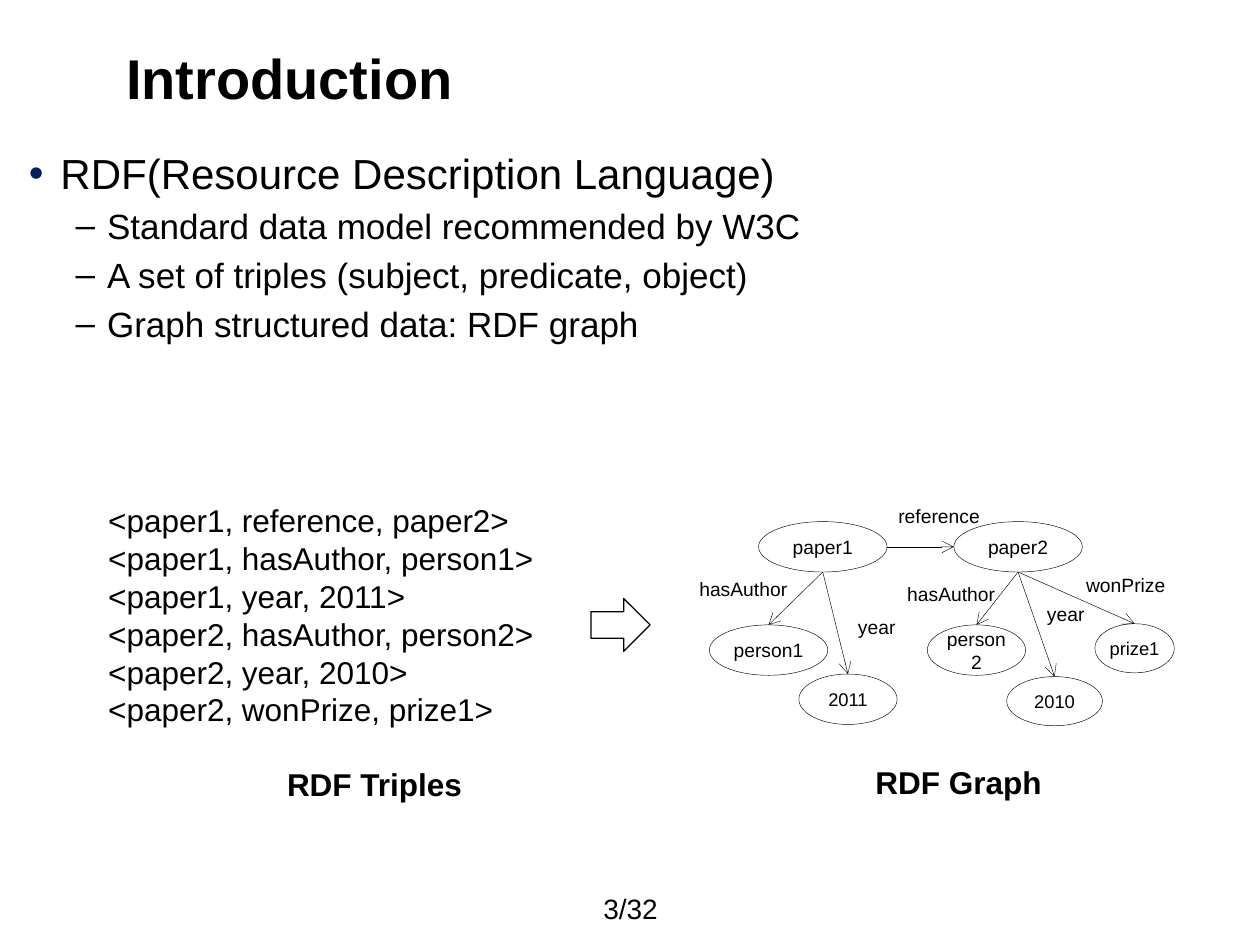
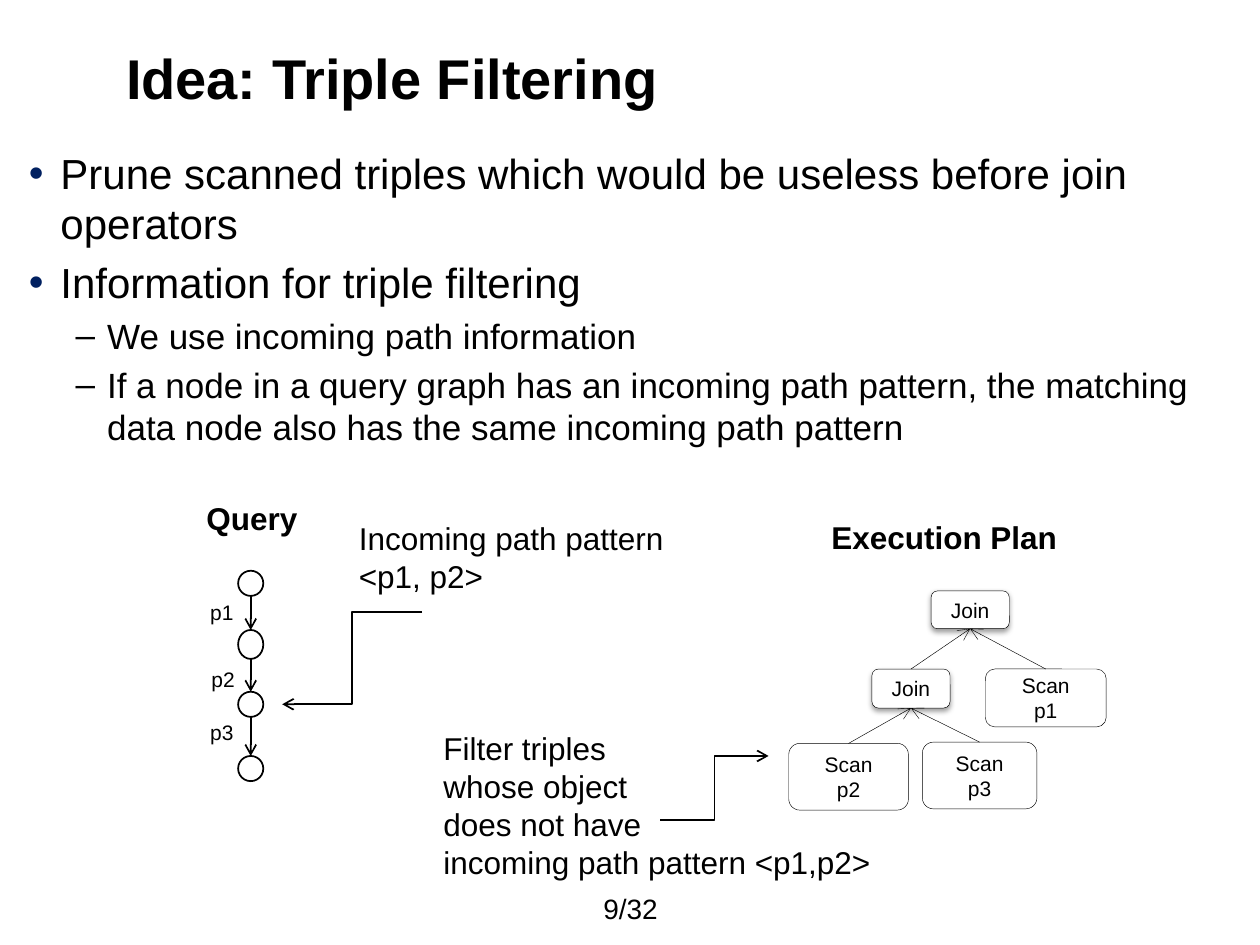
from itertools import pairwise

from lxml import etree
from pptx import Presentation
from pptx.dml.color import RGBColor
from pptx.enum.shapes import MSO_CONNECTOR, MSO_SHAPE
from pptx.enum.text import MSO_ANCHOR, MSO_AUTO_SIZE, PP_ALIGN
from pptx.oxml.ns import qn
from pptx.util import Inches, Pt

BLACK = RGBColor(0x00, 0x00, 0x00)
WHITE = RGBColor(0xFF, 0xFF, 0xFF)
NAVY = RGBColor(0x00, 0x20, 0x60)
FONT = "Arial"
HAIRLINE = 0.25

STRAIGHT, ELBOW = MSO_CONNECTOR.STRAIGHT, MSO_CONNECTOR.ELBOW
ELLIPSE, ROUND_RECT = MSO_SHAPE.OVAL, MSO_SHAPE.ROUNDED_RECTANGLE
RIGHT_ARROW = MSO_SHAPE.RIGHT_ARROW
TOP, MIDDLE = MSO_ANCHOR.TOP, MSO_ANCHOR.MIDDLE
LEFT, CENTER = PP_ALIGN.LEFT, PP_ALIGN.CENTER
NO_FIT, GROW = MSO_AUTO_SIZE.NONE, MSO_AUTO_SIZE.SHAPE_TO_FIT_TEXT

# Per list level: bullet, bullet colour, left margin, text size
LEVELS = [("•", NAVY, 0.25, 24), ("–", BLACK, 0.62, 20)]
HANGING = 0.25
LABEL_INSETS = (0, 0.05)
TITLE_BOX = (0.9, 0.29, 8.29, 0.64)
BODY_BOX = (0.23, 1.17, 9.53, 5.47)
PAGE_BOX = (4.69, 7.06, 0.86, 0.29)
PAGE_COUNT = 32


def add_xml(parent, tag, **attributes):
    return etree.SubElement(parent, qn(tag), attributes)


def place(sp, box):
    sp.left, sp.top, sp.width, sp.height = (Inches(v) for v in box)


def top(box):
    return box[0] + box[2] / 2, box[1]


def bottom(box):
    return box[0] + box[2] / 2, box[1] + box[3]


class Deck:
    """Holds the style and the slide being built."""

    def __init__(self):
        self.prs = Presentation()
        self.prs.slide_width, self.prs.slide_height = Inches(10), Inches(7.5)
        self.s = None

    def slide(self, title, items, page):
        self.s = self.prs.slides.add_slide(self.prs.slide_layouts[1])
        sp = self.s.shapes.title
        place(sp, TITLE_BOX)
        self.fill_text(sp.text_frame, [title], 32, bold=True, anchor=MIDDLE)
        sp.text_frame.auto_size = NO_FIT
        self.bullets(items)
        self.text(PAGE_BOX, [f"{page}/{PAGE_COUNT}"], 16, anchor=MIDDLE, grow=False)

    def run(self, p, text, size, bold=False):
        r = p.add_run()
        r.text = text
        r.font.name, r.font.size, r.font.bold = FONT, Pt(size), bold
        r.font.color.rgb = BLACK

    def fill_text(self, tf, lines, size, bold=False, align=LEFT, anchor=TOP,
                  insets=None):
        tf.vertical_anchor = anchor
        if insets:
            tf.margin_left = tf.margin_right = Inches(insets[0])
            tf.margin_top = tf.margin_bottom = Inches(insets[1])
        for i, line in enumerate(lines):
            p = tf.add_paragraph() if i else tf.paragraphs[0]
            p.alignment = align
            self.run(p, line, size, bold)

    def bullets(self, items):
        sp = self.s.placeholders[1]
        place(sp, BODY_BOX)
        tf = sp.text_frame
        tf.auto_size = NO_FIT
        tf.margin_left = tf.margin_right = tf.margin_top = tf.margin_bottom = 0
        for i, (level, text) in enumerate(items):
            char, color, margin, size = LEVELS[level]
            p = tf.add_paragraph() if i else tf.paragraphs[0]
            p.level = level
            pPr = p._p.get_or_add_pPr()
            pPr.set("marL", str(Inches(margin)))
            pPr.set("indent", str(-Inches(HANGING)))
            add_xml(add_xml(pPr, "a:buClr"), "a:srgbClr", val=str(color))
            add_xml(pPr, "a:buFont", typeface=FONT)
            add_xml(pPr, "a:buChar", char=char)
            p.space_before = Pt(0.2 * size if i else 0)
            self.run(p, text, size)

    def text(self, box, lines, size, bold=False, anchor=TOP, insets=None,
             wrap=True, grow=True):
        x, y, w, h = (Inches(v) for v in box)
        tf = self.s.shapes.add_textbox(x, y, w, h).text_frame
        tf.word_wrap = wrap
        tf.auto_size = GROW if grow else NO_FIT
        self.fill_text(tf, lines, size, bold, anchor=anchor, insets=insets)

    def shape(self, kind, box, lines=(), size=12, fill=None, width=HAIRLINE,
              insets=None, shadow=False):
        x, y, w, h = (Inches(v) for v in box)
        sp = self.s.shapes.add_shape(kind, x, y, w, h)
        sp.shadow.inherit = False
        if shadow:
            self.drop_shadow(sp)
        if fill is None:
            sp.fill.background()
        else:
            sp.fill.solid()
            sp.fill.fore_color.rgb = fill
        sp.line.color.rgb, sp.line.width = BLACK, Pt(width)
        self.fill_text(sp.text_frame, lines, size, align=CENTER, anchor=MIDDLE,
                       insets=insets)

    def drop_shadow(self, sp):
        effects = sp._element.spPr.find(qn("a:effectLst"))
        outer = add_xml(effects, "a:outerShdw", blurRad=str(Pt(3.1)),
                        dist=str(Pt(1.6)), dir="5400000", rotWithShape="0")
        color = add_xml(outer, "a:srgbClr", val=str(BLACK))
        add_xml(color, "a:alpha", val="38000")

    def arrow(self, start, end, width=HAIRLINE, kind=STRAIGHT):
        ends = (Inches(v) for v in (*start, *end))
        line = self.s.shapes.add_connector(kind, *ends)
        line.line.color.rgb, line.line.width = BLACK, Pt(width)
        spPr = line._element.spPr
        add_xml(spPr.find(qn("a:ln")), "a:tailEnd", type="arrow")
        add_xml(spPr, "a:effectLst")


def introduction(deck):
    deck.slide("Introduction", [
        (0, "RDF(Resource Description Language)"),
        (1, "Standard data model recommended by W3C"),
        (1, "A set of triples (subject, predicate, object)"),
        (1, "Graph structured data: RDF graph"),
    ], 3)

    nodes = {
        "paper1": (6.02, 4.14, 1.02, 0.4),
        "paper2": (7.57, 4.14, 1.02, 0.4),
        "person1": (5.63, 4.96, 0.94, 0.4),
        "person2": (7.36, 4.96, 0.78, 0.4),
        "prize1": (8.69, 4.95, 0.63, 0.39),
        "2011": (6.34, 5.35, 0.78, 0.4),
        "2010": (7.99, 5.37, 0.76, 0.39),
    }
    for name, box in nodes.items():
        size = 10.5 if name in ("prize1", "2011", "2010") else 11
        deck.shape(ELLIPSE, box, [name], size, insets=LABEL_INSETS)

    deck.arrow((7.04, 4.34), (7.57, 4.34))
    for paper, targets in {"paper1": ("person1", "2011"),
                           "paper2": ("person2", "2010", "prize1")}.items():
        for target in targets:
            deck.arrow(bottom(nodes[paper]), top(nodes[target]))

    for label, x, y, w in [
        ("reference", 7.13, 3.95, 1.1),
        ("hasAuthor", 5.55, 4.53, 0.79),
        ("year", 6.81, 4.83, 0.47),
        ("hasAuthor", 7.2, 4.57, 1.25),
        ("year", 8.31, 4.73, 0.47),
        ("wonPrize", 8.62, 4.5, 0.94),
    ]:
        deck.text((x, y, w, 0.29), [label], 11, insets=LABEL_INSETS)

    deck.text((0.76, 3.93, 3.61, 1.92), [
        "<paper1, reference, paper2>",
        "<paper1, hasAuthor, person1>",
        "<paper1, year, 2011>",
        "<paper2, hasAuthor, person2>",
        "<paper2, year, 2010>",
        "<paper2, wonPrize, prize1>",
    ], 18, wrap=False)
    deck.shape(RIGHT_ARROW, (4.69, 4.75, 0.47, 0.42), width=0.75)
    deck.text((2.18, 6.02, 1.6, 0.4), ["RDF Triples"], 18, bold=True, wrap=False)
    deck.text((6.85, 6.01, 1.53, 0.4), ["RDF Graph"], 18, bold=True, wrap=False)


def triple_filtering(deck):
    deck.slide("Idea: Triple Filtering", [
        (0, "Prune scanned triples which would be useless before join operators"),
        (0, "Information for triple filtering"),
        (1, "We use incoming path information"),
        (1, "If a node in a query graph has an incoming path pattern, "
            "the matching data node also has the same incoming path pattern"),
    ], 9)

    # Query path
    deck.text((1.54, 3.91, 0.93, 0.4), ["Query"], 18, bold=True, anchor=MIDDLE,
              wrap=False)
    circles = [(1.89, y, 0.2, h)
               for y, h in ((4.53, 0.2), (5, 0.23), (5.49, 0.2), (6, 0.2))]
    for circle in circles:
        deck.shape(ELLIPSE, circle, width=1)
    for upper, lower in pairwise(circles):
        deck.arrow(bottom(upper), top(lower), width=1)
    for label, x, y in [("p1", 1.57, 4.71), ("p2", 1.58, 5.24), ("p3", 1.57, 5.66)]:
        deck.text((x, y, 0.39, 0.3), [label], 12, anchor=MIDDLE, wrap=False)

    # Execution plan
    deck.text((6.5, 4.06, 2.01, 0.4), ["Execution Plan"], 18, bold=True)
    root_join, inner_join = (7.39, 4.69, 0.62, 0.3), (6.92, 5.31, 0.62, 0.31)
    scans = {
        "p1": (7.82, 5.31, 0.96, 0.46),
        "p2": (6.26, 5.9, 0.95, 0.53),
        "p3": (7.32, 5.89, 0.91, 0.53),
    }
    for name, box in scans.items():
        deck.shape(ROUND_RECT, box, ["Scan", name], fill=WHITE)
    for box in (inner_join, root_join):
        deck.shape(ROUND_RECT, box, ["Join"], fill=WHITE, shadow=True)
    for child, parent in [(scans["p2"], inner_join), (scans["p3"], inner_join),
                          (inner_join, root_join), (scans["p1"], root_join)]:
        deck.arrow(top(child), bottom(parent))

    # Explanations
    deck.arrow((3.35, 4.86), (2.24, 5.59), width=1, kind=ELBOW)
    deck.text((2.75, 4.07, 2.64, 0.71), ["Incoming path pattern", "<p1, p2>"], 18,
              wrap=False)
    deck.arrow((5.24, 6.51), (6.1, 6), width=1, kind=ELBOW)
    deck.text((3.42, 5.74, 3.62, 1.31), [
        "Filter triples",
        "whose object",
        "does not have",
        "incoming path pattern <p1,p2>",
    ], 18, wrap=False)


def main():
    deck = Deck()
    introduction(deck)
    triple_filtering(deck)
    deck.prs.save("out.pptx")


if __name__ == "__main__":
    main()
